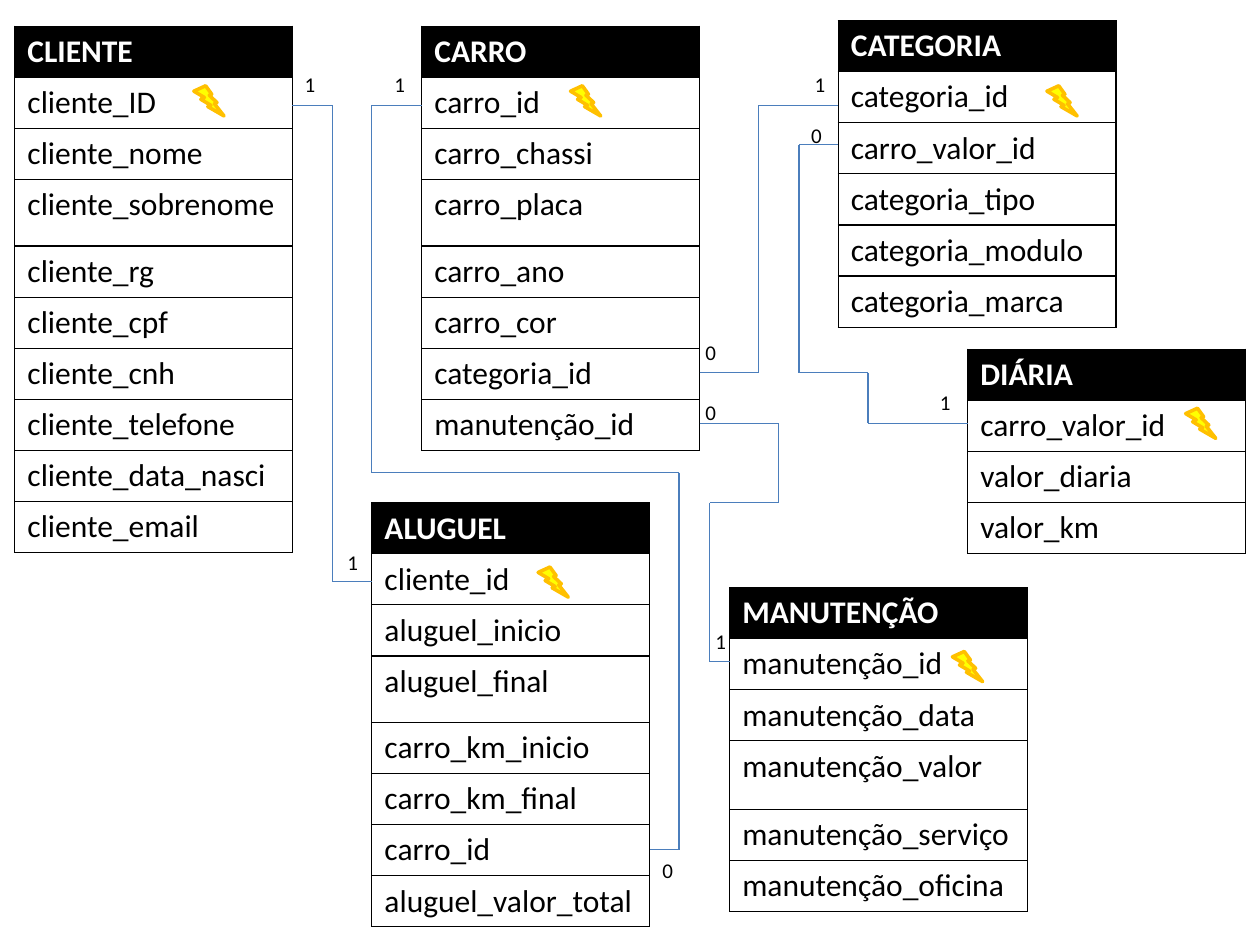
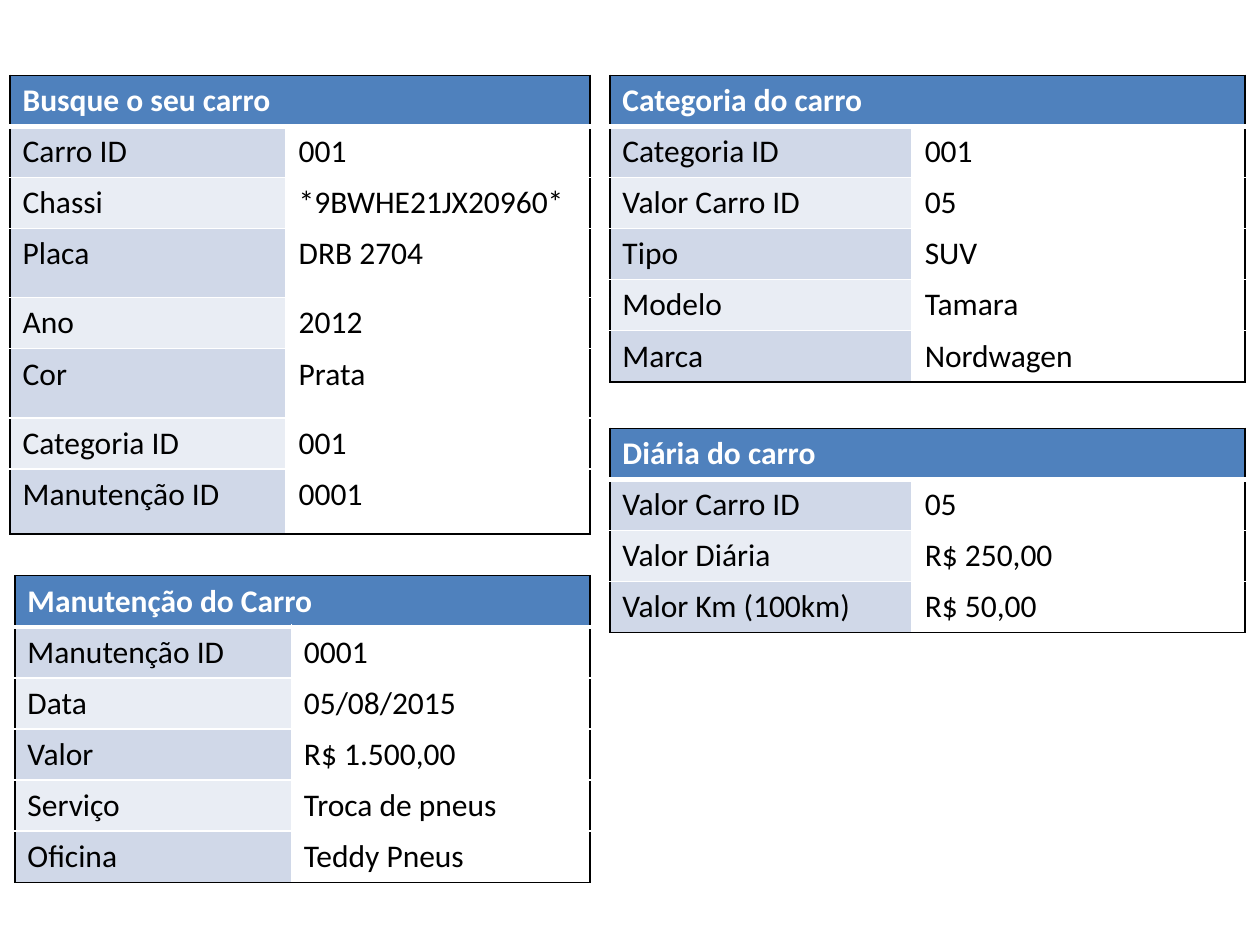
"""Builds a car rental data model: an entity diagram and sample record tables."""
from dataclasses import dataclass
from itertools import pairwise

from lxml import etree
from pptx import Presentation
from pptx.dml.color import RGBColor
from pptx.enum.shapes import MSO_CONNECTOR, MSO_SHAPE
from pptx.enum.text import MSO_AUTO_SIZE
from pptx.oxml.ns import qn
from pptx.util import Pt

STRAIGHT = MSO_CONNECTOR.STRAIGHT
BOLT = MSO_SHAPE.LIGHTNING_BOLT
GROW = MSO_AUTO_SIZE.SHAPE_TO_FIT_TEXT


@dataclass(frozen=True)
class Theme:
    font: str = "Calibri"
    cell_size: float = 18
    label_size: float = 12
    black: str = "000000"
    white: str = "FFFFFF"
    header: str = "4F81BD"
    bands: tuple = ("D0D8E8", "E9EDF4")
    link: str = "4B7EBC"
    key_fill: str = "FFFF00"
    key_line: str = "FFC000"
    thin: float = 0.75
    rule: float = 1
    header_rule: float = 3
    key_rule: float = 2


THEME = Theme()
ROW = 29.2
KEY_SIZE = 17.25
LABEL_SIZE = 21.25

ENTITIES = [
    {"at": (8.5, 15), "width": 158.75, "tall": {3: 38},
     "rows": ["CLIENTE", "cliente_ID", "cliente_nome", "cliente_sobrenome", "cliente_rg",
              "cliente_cpf", "cliente_cnh", "cliente_telefone", "cliente_data_nasci",
              "cliente_email"]},
    {"at": (241, 15), "width": 158.75, "tall": {3: 38},
     "rows": ["CARRO", "carro_id", "carro_chassi", "carro_placa", "carro_ano", "carro_cor",
              "categoria_id", "manutenção_id"]},
    {"at": (479, 11.75), "width": 158.75, "tall": {},
     "rows": ["CATEGORIA", "categoria_id", "carro_valor_id", "categoria_tipo",
              "categoria_modulo", "categoria_marca"]},
    {"at": (553, 199.5), "width": 158.75, "tall": {},
     "rows": ["DIÁRIA", "carro_valor_id", "valor_diaria", "valor_km"]},
    {"at": (417, 335.75), "width": 170, "tall": {3: 39},
     "rows": ["MANUTENÇÃO", "manutenção_id", "manutenção_data", "manutenção_valor",
              "manutenção_serviço", "manutenção_oficina"]},
    {"at": (212.5, 287.25), "width": 158.75, "tall": {3: 38},
     "rows": ["ALUGUEL", "cliente_id", "aluguel_inicio", "aluguel_final", "carro_km_inicio",
              "carro_km_final", "carro_id", "aluguel_valor_total"]},
]

LINKS = [
    [(167, 60.25), (190, 60.25), (190, 332.5), (212.5, 332.5)],
    [(241, 60.25), (212.5, 60.25), (212.5, 270), (388, 270), (388, 485.5), (371.5, 485.5)],
    [(399.75, 213), (433.5, 213), (433.5, 60.25), (479, 60.25)],
    [(399.75, 242), (445, 242), (445, 287.25), (405.5, 287.25), (405.5, 378), (417, 378)],
    [(479, 82.75), (456.5, 82.75), (456.5, 213), (496, 213), (496, 242), (553, 242)],
]

KEYS = [(110.75, 49), (326, 49), (307.5, 324), (544.25, 372.25), (677.5, 233.25), (598.25, 49)]

CARDINALITIES = {
    "1": [(167, 37.5), (191.5, 310.25), (458.5, 37.5), (401.75, 355.5), (530, 219),
          (218.25, 37.5)],
    "0": [(371.5, 486.75), (396, 190.75), (396, 224.5), (456.5, 66.25)],
}

RECORDS = [
    {"at": (348.5, 43), "widths": (172.75, 190.25), "tall": {},
     "rows": [("Categoria do carro", ""), ("Categoria ID", "001"), ("Valor Carro ID", "05"),
              ("Tipo", "SUV"), ("Modelo", "Tamara"), ("Marca", "Nordwagen")]},
    {"at": (5.75, 43), "widths": (157.75, 173.75), "tall": {3: 39.5, 5: 39.5, 7: 37.25},
     "rows": [("Busque o seu carro", ""), ("Carro ID", "001"), ("Chassi", "*9BWHE21JX20960*"),
              ("Placa", "DRB 2704"), ("Ano", "2012"), ("Cor", "Prata"),
              ("Categoria ID", "001"), ("Manutenção ID", "0001")]},
    {"at": (348.5, 244.75), "widths": (172.75, 190.25), "tall": {},
     "rows": [("Diária do carro", ""), ("Valor Carro ID", "05"), ("Valor Diária", "R$ 250,00"),
              ("Valor Km (100km)", "R$ 50,00")]},
    {"at": (8.5, 329), "widths": (158, 170.75), "tall": {},
     "rows": [("Manutenção do Carro", ""), ("Manutenção ID", "0001"), ("Data", "05/08/2015"),
              ("Valor", "R$ 1.500,00"), ("Serviço", "Troca de pneus"),
              ("Oficina", "Teddy Pneus")]},
]


def rgb(value):
    return RGBColor.from_string(value)


def set_font(p, size, color, bold=False):
    for r in p.runs:
        r.font.name = THEME.font
        r.font.size = Pt(size)
        r.font.bold = bold
        r.font.color.rgb = rgb(color)


def set_borders(cell, borders):
    tc_pr = cell._tc.get_or_add_tcPr()
    for side in "LRTB":
        color, width = borders[side]
        ln = etree.SubElement(tc_pr, qn(f"a:ln{side}"), w=str(Pt(width)))
        fill = etree.SubElement(ln, qn("a:solidFill"))
        etree.SubElement(fill, qn("a:srgbClr"), val=color)


def entity_style(row, col, last):
    line = (THEME.black, THEME.thin)
    return (None if row else THEME.black), dict.fromkeys("LRTB", line)


def record_style(row, col, last):
    black, white = (THEME.black, THEME.rule), (THEME.white, THEME.rule)
    thick = (THEME.white, THEME.header_rule)
    if row == 0:
        return THEME.header, {"L": black, "R": black, "T": black, "B": thick}
    fill = THEME.white if col else THEME.bands[(row - 1) % 2]
    return fill, {"L": white if col else black, "R": black if col else white,
                  "T": thick if row == 1 else white, "B": black if row == last else white}


def add_grid(s, at, widths, tall, rows, style):
    heights = [tall.get(i, ROW) for i in range(len(rows))]
    x, y = at
    frame = s.shapes.add_table(len(rows), len(widths), Pt(x), Pt(y),
                               Pt(sum(widths)), Pt(sum(heights)))
    table = frame.table
    table.first_row = table.horz_banding = False
    for column, width in zip(table.columns, widths):
        column.width = Pt(width)
    for i, (values, height) in enumerate(zip(rows, heights)):
        table.rows[i].height = Pt(height)
        for j, value in enumerate(values):
            cell = table.cell(i, j)
            fill, borders = style(i, j, len(rows) - 1)
            set_borders(cell, borders)
            if fill:
                cell.fill.solid()
                cell.fill.fore_color.rgb = rgb(fill)
            else:
                cell.fill.background()
            cell.text_frame.text = value
            set_font(cell.text_frame.paragraphs[0], THEME.cell_size,
                     THEME.black if i else THEME.white, bold=i == 0)
    if len(widths) > 1:
        table.cell(0, 0).merge(table.cell(0, len(widths) - 1))


def add_link(s, points):
    for start, end in pairwise(points):
        sp = s.shapes.add_connector(STRAIGHT, *map(Pt, start + end))
        sp.line.color.rgb = rgb(THEME.link)
        sp.line.width = Pt(THEME.thin)
        etree.SubElement(sp._element.spPr, qn("a:effectLst"))


def add_key(s, x, y):
    sp = s.shapes.add_shape(BOLT, Pt(x), Pt(y), Pt(KEY_SIZE), Pt(KEY_SIZE))
    sp.shadow.inherit = False
    sp.fill.solid()
    sp.fill.fore_color.rgb = rgb(THEME.key_fill)
    sp.line.color.rgb = rgb(THEME.key_line)
    sp.line.width = Pt(THEME.key_rule)


def add_label(s, text, x, y):
    tf = s.shapes.add_textbox(Pt(x), Pt(y), Pt(LABEL_SIZE), Pt(LABEL_SIZE)).text_frame
    tf.text = text
    tf.word_wrap = False
    tf.auto_size = GROW
    set_font(tf.paragraphs[0], THEME.label_size, THEME.black)


def build_diagram(s):
    for entity in ENTITIES:
        add_grid(s, entity["at"], (entity["width"],), entity["tall"],
                 [(name,) for name in entity["rows"]], entity_style)
    for points in LINKS:
        add_link(s, points)
    for x, y in KEYS:
        add_key(s, x, y)
    for text, places in CARDINALITIES.items():
        for x, y in places:
            add_label(s, text, x, y)


def build_records(s):
    for record in RECORDS:
        add_grid(s, **record, style=record_style)


prs = Presentation()
prs.slide_width, prs.slide_height = Pt(720), Pt(540)
for build in (build_diagram, build_records):
    build(prs.slides.add_slide(prs.slide_layouts[6]))
prs.save("out.pptx")
